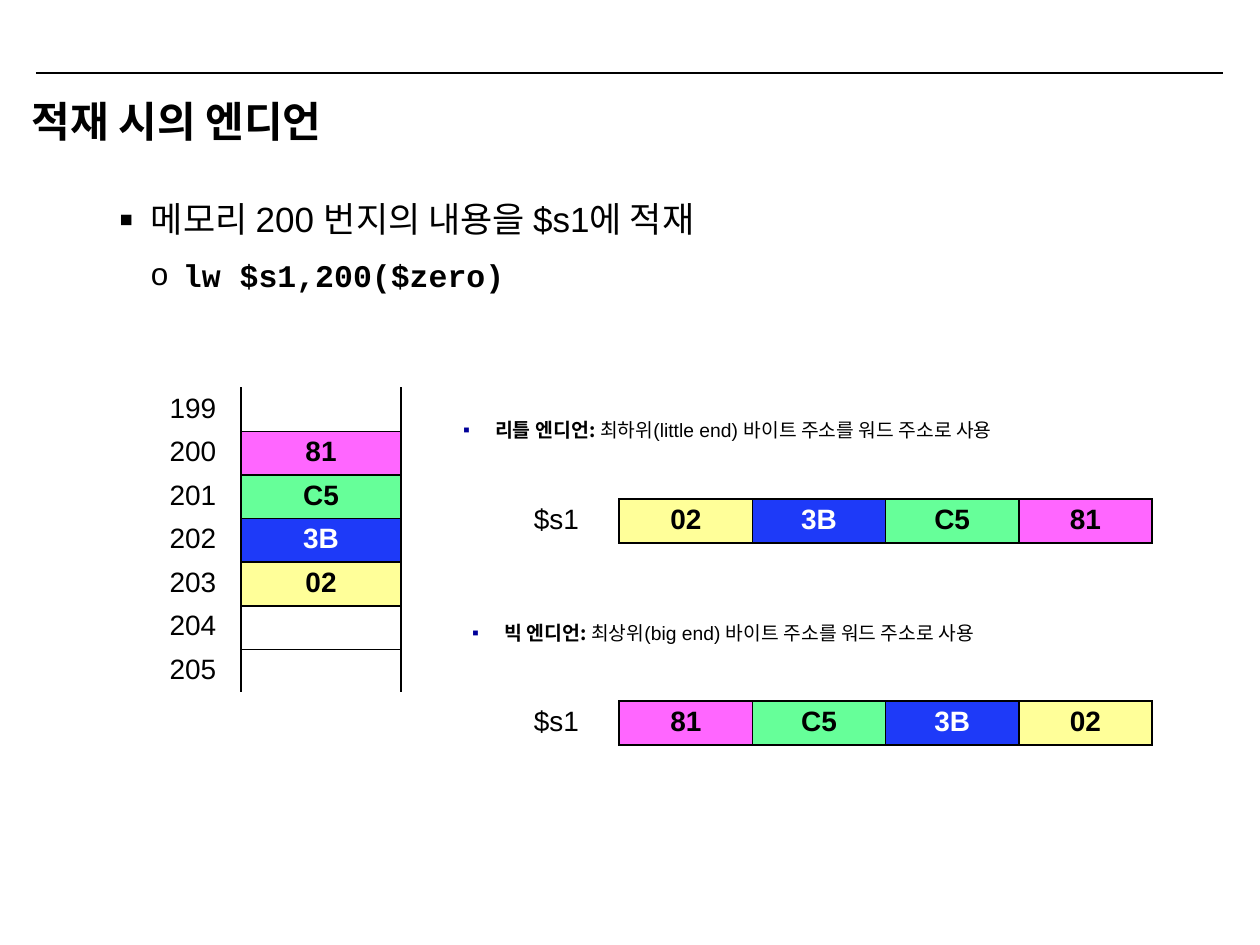
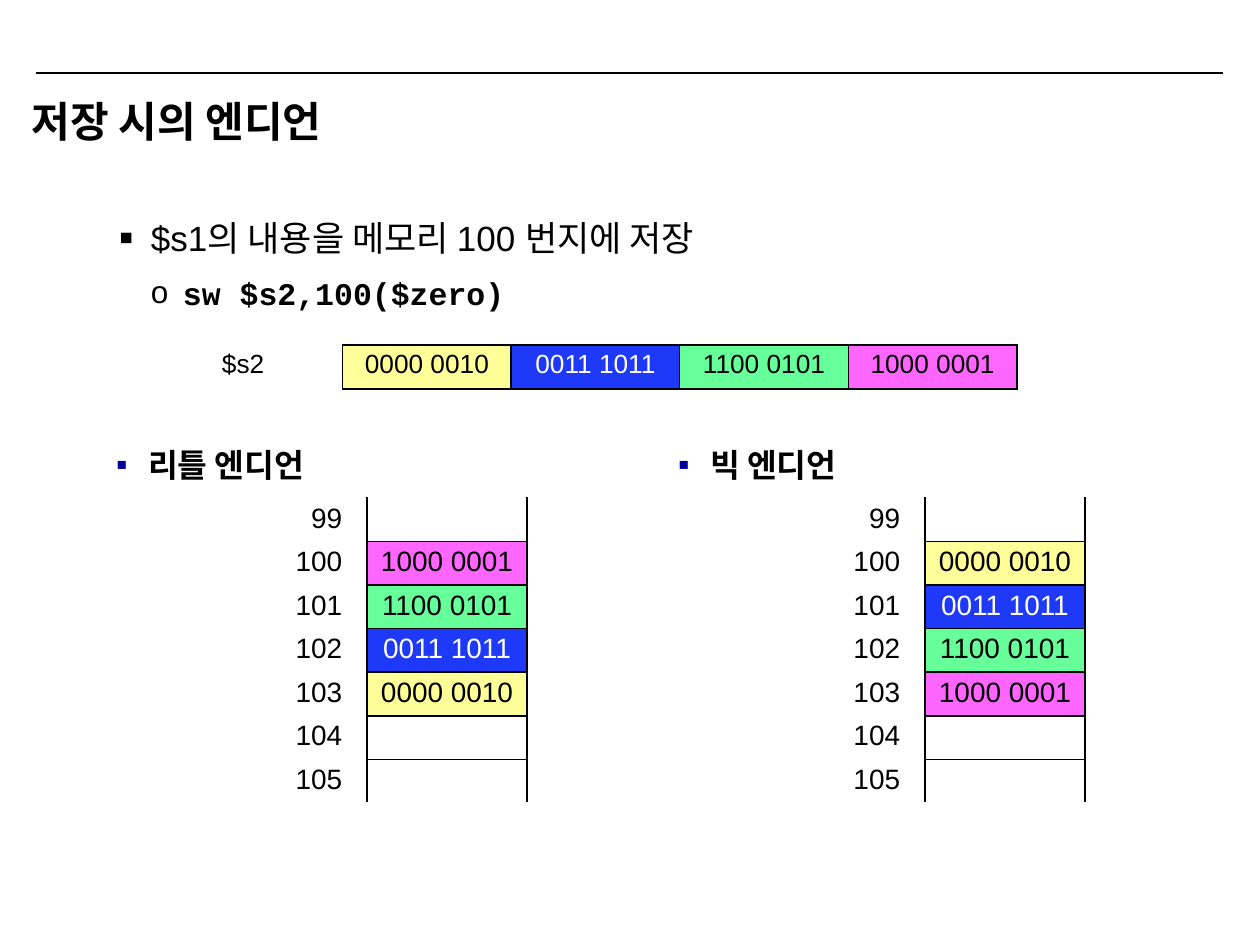
from lxml import etree
from pptx import Presentation
from pptx.dml.color import RGBColor
from pptx.enum import shapes, text
from pptx.oxml import ns
from pptx.util import Emu, Pt

BLACK = RGBColor(0x00, 0x00, 0x00)
WHITE = RGBColor(0xFF, 0xFF, 0xFF)
NAVY = RGBColor(0x00, 0x00, 0x99)
PINK = RGBColor(0xFF, 0x66, 0xFF)
GREEN = RGBColor(0x66, 0xFF, 0x99)
BLUE = RGBColor(0x1E, 0x3A, 0xF8)
YELLOW = RGBColor(0xFF, 0xFF, 0x99)

SANS = "Arial"
MONO = "Courier New"
KOREAN = "Noto Sans CJK KR"

BYTE_FILLS = {"81": PINK, "C5": GREEN, "3B": BLUE, "02": YELLOW}
LOW_FIRST = list(BYTE_FILLS)
HIGH_FIRST = LOW_FIRST[::-1]
MEMORY_SIZE = (320, 305)
INDENT = 32


def px(length):
    return Emu(round(length * 914400 / 126))


def as_bits(byte):
    bits = f"{int(byte, 16):08b}"
    return f"{bits[:4]} {bits[4:]}"


def add_run(paragraph, words, size, font=SANS, bold=False, color=BLACK):
    run = paragraph.add_run()
    run.text = words
    run.font.size = Pt(size)
    run.font.name = font
    run.font.bold = bold
    run.font.color.rgb = color


def add_text_box(slide, box, inset_x, inset_y):
    frame = slide.shapes.add_textbox(*map(px, box)).text_frame
    frame.word_wrap = True
    frame.margin_left = frame.margin_right = px(inset_x)
    frame.margin_top = frame.margin_bottom = px(inset_y)
    return frame


def set_bullet(paragraph, symbol, color, level=1, percent=100):
    properties = paragraph._p.get_or_add_pPr()
    properties.set("marL", str(px(INDENT * level)))
    properties.set("indent", str(-px(INDENT)))
    bullet_color = etree.SubElement(properties, ns.qn("a:buClr"))
    etree.SubElement(bullet_color, ns.qn("a:srgbClr"), val=str(color))
    etree.SubElement(properties, ns.qn("a:buSzPct"), val=str(percent * 1000))
    etree.SubElement(properties, ns.qn("a:buFont"), typeface=SANS)
    etree.SubElement(properties, ns.qn("a:buChar"), char=symbol)


def add_frame(presentation, title):
    slide = presentation.slides.add_slide(presentation.slide_layouts[6])
    rule = slide.shapes.add_connector(
        shapes.MSO_CONNECTOR.STRAIGHT, px(36), px(73), px(1223), px(73))
    rule.line.color.rgb = BLACK
    rule.line.width = Pt(0.75)
    etree.SubElement(rule._element.spPr, ns.qn("a:effectLst"))
    frame = add_text_box(slide, (32, 95, 1187, 84), 0, 0)
    add_run(frame.paragraphs[0], title, 24, bold=True)
    return slide


def add_instruction(slide, box, summary, code):
    frame = add_text_box(slide, box, 13, 6)
    heading = frame.paragraphs[0]
    heading.space_after = Pt(4)
    set_bullet(heading, "▪", BLACK, percent=120)
    add_run(heading, summary, 20)
    command = frame.add_paragraph()
    command.space_before = Pt(5)
    set_bullet(command, "o", BLACK, level=2)
    add_run(command, code, 18, MONO, bold=True)


def add_endian_note(slide, box, name, size, detail=""):
    paragraph = add_text_box(slide, box, 11, 5).paragraphs[0]
    set_bullet(paragraph, "▪", NAVY)
    add_run(paragraph, name, size, KOREAN, bold=True)
    if detail:
        add_run(paragraph, detail, 11)


def set_borders(cell, left=BLACK, right=BLACK, top=BLACK, bottom=BLACK):
    properties = cell._tc.get_or_add_tcPr()
    for side, color in zip("LRTB", (left, right, top, bottom)):
        line = etree.SubElement(properties, ns.qn(f"a:ln{side}"), w=str(Pt(1)))
        fill = etree.SubElement(line, ns.qn("a:solidFill"))
        etree.SubElement(fill, ns.qn("a:srgbClr"), val=str(color))


def add_grid(slide, box, row_count, column_count):
    left, top, width, height = box
    table = slide.shapes.add_table(row_count, column_count, *map(px, box)).table
    table.first_row = table.horz_banding = False
    for column in table.columns:
        column.width = px(width / column_count)
    for row in table.rows:
        row.height = px(height / row_count)
        for cell in row.cells:
            cell.margin_left = cell.margin_right = px(11)
            cell.margin_top = cell.margin_bottom = px(5)
    return table


def fill_label(cell, words, size):
    set_borders(cell, left=WHITE, top=WHITE, bottom=WHITE)
    cell.fill.background()
    add_run(cell.text_frame.paragraphs[0], words, size)


def fill_byte(cell, byte, size, binary):
    cell.fill.solid()
    cell.fill.fore_color.rgb = BYTE_FILLS[byte]
    paragraph = cell.text_frame.paragraphs[0]
    paragraph.alignment = text.PP_ALIGN.CENTER
    add_run(paragraph, as_bits(byte) if binary else byte, size,
            bold=not binary, color=WHITE if byte == "3B" else BLACK)


def add_register(slide, box, name, data, size=16, binary=False):
    label, *cells = add_grid(slide, box, 1, 5).rows[0].cells
    fill_label(label, name, size)
    label.margin_left = px(48)
    for cell, byte in zip(cells, data):
        set_borders(cell)
        fill_byte(cell, byte, size, binary)


def add_memory(slide, corner, first_address, data, binary=False):
    slots = [None, *data, None, None]
    table = add_grid(slide, corner + MEMORY_SIZE, len(slots), 2)
    last = len(slots) - 1
    for index, byte in enumerate(slots):
        label, cell = table.rows[index].cells
        fill_label(label, str(first_address + index), 16)
        label.margin_right = px(25)
        label.text_frame.paragraphs[0].alignment = text.PP_ALIGN.RIGHT
        set_borders(cell, top=BLACK if index else WHITE,
                    bottom=WHITE if index == last else BLACK)
        if byte:
            fill_byte(cell, byte, 16, binary)
        else:
            cell.fill.background()
            ending = cell.text_frame.paragraphs[0]._p.get_or_add_endParaRPr()
            ending.set("sz", "1600")


def build_load_slide(presentation):
    slide = add_frame(presentation, "적재 시의 엔디언")
    add_instruction(slide, (106, 192, 1084, 126),
                    "메모리 200 번지의 내용을 $s1에 적재", "lw $s1,200($zero)")
    add_memory(slide, (81, 388), 199, LOW_FIRST)
    add_endian_note(slide, (452, 413, 650, 68), "리틀 엔디언: ", 11.1,
                    "최하위(little end) 바이트 주소를 워드 주소로 사용")
    add_register(slide, (486, 499, 666, 44), "$s1", HIGH_FIRST)
    add_endian_note(slide, (461, 616, 600, 68), "빅 엔디언: ", 11.1,
                    "최상위(big end) 바이트 주소를 워드 주소로 사용")
    add_register(slide, (486, 701, 666, 44), "$s1", LOW_FIRST)


def build_store_slide(presentation):
    slide = add_frame(presentation, "저장 시의 엔디언")
    add_instruction(slide, (106, 210, 1084, 110),
                    "$s1의 내용을 메모리 100 번지에 저장", "sw $s2,100($zero)")
    add_register(slide, (174, 345, 843, 44), "$s2", HIGH_FIRST, 15, binary=True)
    columns = (("리틀 엔디언", 105, 207, LOW_FIRST),
               ("빅 엔디언", 667, 765, HIGH_FIRST))
    for name, note_left, memory_left, data in columns:
        add_endian_note(slide, (note_left, 440, 524, 68), name, 18.5)
        add_memory(slide, (memory_left, 498), 99, data, binary=True)


def main():
    presentation = Presentation()
    presentation.slide_width = px(1260)
    presentation.slide_height = px(945)
    build_load_slide(presentation)
    build_store_slide(presentation)
    presentation.save("out.pptx")


if __name__ == "__main__":
    main()
